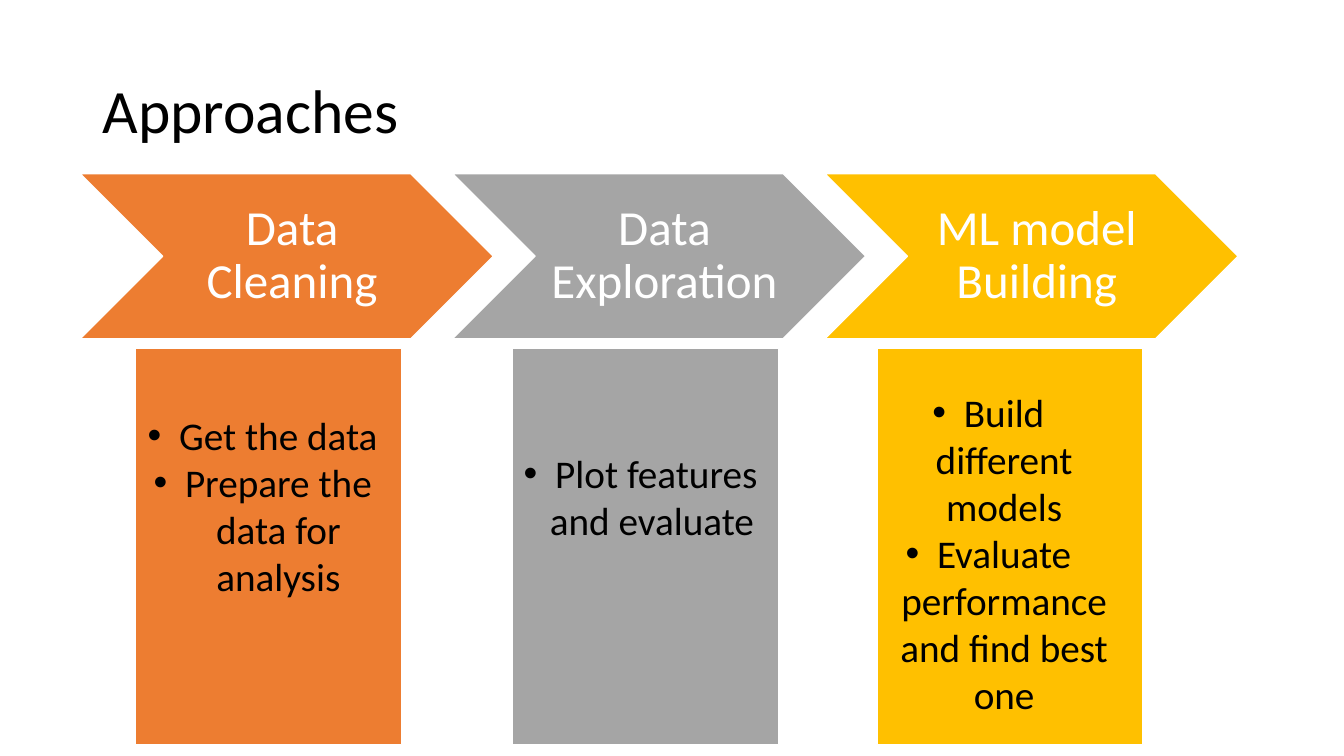
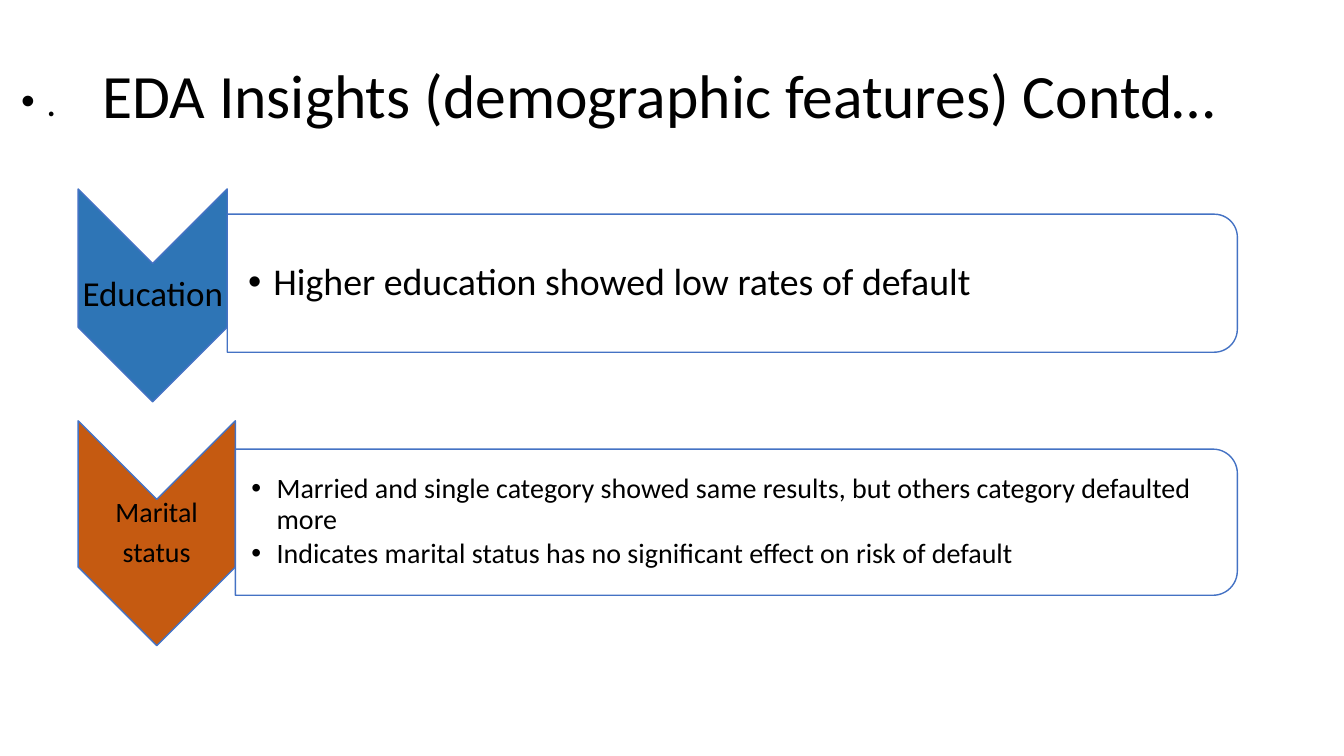
from lxml import etree
from pptx import Presentation
from pptx.dml.color import RGBColor
from pptx.enum.shapes import MSO_SHAPE
from pptx.enum.text import MSO_ANCHOR, MSO_AUTO_SIZE, PP_ALIGN
from pptx.oxml.ns import qn
from pptx.util import Pt

CHEVRON, RECTANGLE = MSO_SHAPE.CHEVRON, MSO_SHAPE.RECTANGLE
ROUNDED_TOP = MSO_SHAPE.ROUND_2_SAME_RECTANGLE
TOP, MIDDLE = MSO_ANCHOR.TOP, MSO_ANCHOR.MIDDLE
LEFT, CENTER = PP_ALIGN.LEFT, PP_ALIGN.CENTER

FONT = "Calibri"
BLACK = RGBColor(0x00, 0x00, 0x00)
WHITE = RGBColor(0xFF, 0xFF, 0xFF)
ORANGE = RGBColor(0xED, 0x7D, 0x31)
GREY = RGBColor(0xA5, 0xA5, 0xA5)
GOLD = RGBColor(0xFF, 0xC0, 0x00)
BLUE = RGBColor(0x2E, 0x75, 0xB6)
RUST = RGBColor(0xC5, 0x5A, 0x11)
OUTLINE = RGBColor(0x44, 0x72, 0xC4)

# Content: step, colour, card left, list left and top, list items
APPROACHES = [
    ("Data Cleaning", ORANGE, 96.5, 89.3, 290,
     ["Get the data", "Prepare the data for analysis"]),
    ("Data Exploration", GREY, 365.8, 359.3, 317.5,
     ["Plot features and evaluate "]),
    ("ML model Building", GOLD, 626.4, 607.7, 273.6,
     ["Build different models", "Evaluate performance and find best one"]),
]
# Content: label lines and size, colour, chevron top, width and height,
# panel top and height, panel inset, finding size, findings
INSIGHTS = [
    (["Education"], 25, BLUE, 135, 106.5, 152, 153, 98.6, 15, 27,
     ["Higher education showed low rates of default"]),
    (["Marital", "status"], 20, RUST, 300.6, 112.3, 160.6, 320.8, 104.4, 11.5, 20,
     ["Married and single category showed same results, "
      "but others category defaulted more",
      "Indicates marital status has no significant effect on risk of default"]),
]

# Shared geometry, in points
STEP_LEFT, STEP_TOP, STEP_PITCH, STEP_SIZE = 57.2, 124, 266, (295.2, 118)
CARD_TOP, CARD_SIZE = 249, (190.2, 283)
LIST_SIZE = (196.6, 165)
ROW_LEFT, ROW_RIGHT = 55.8, 883.8


def write(shape, lines, size, color=BLACK, align=CENTER, anchor=MIDDLE,
          margins=(7.2, 3.6, 7.2, 3.6), spacing=0.9, gap=0, indent=0):
    """Fill a shape with paragraphs; an indent also adds bullets."""
    frame = shape.text_frame
    frame.word_wrap = True
    frame.auto_size = MSO_AUTO_SIZE.NONE
    frame.vertical_anchor = anchor
    frame.margin_left, frame.margin_top, frame.margin_right, frame.margin_bottom = map(Pt, margins)
    for number, line in enumerate(lines):
        para = frame.add_paragraph() if number else frame.paragraphs[0]
        para.text = line
        para.alignment = align
        para.line_spacing = spacing
        if number:
            para.space_before = Pt(gap)
        para.font.name = FONT
        para.font.size = Pt(size)
        para.font.color.rgb = color
        if indent:
            properties = para._p.get_or_add_pPr()
            properties.set("marL", str(Pt(indent)))
            properties.set("indent", str(-Pt(indent)))
            bullet_font = etree.Element(qn("a:buFont"), typeface="Arial")
            bullet = etree.Element(qn("a:buChar"), char="•")
            # Bullets stand between the spacing and the run defaults
            defaults = properties.find(qn("a:defRPr"))
            defaults.addprevious(bullet_font)
            defaults.addprevious(bullet)


def add_text(slide, left, top, width, height, lines, size, **style):
    box = slide.shapes.add_textbox(Pt(left), Pt(top), Pt(width), Pt(height))
    write(box, lines, size, **style)


def add_block(slide, kind, left, top, width, height, fill, line, turned=False):
    """Add a filled shape; left to height describe it as seen, even when turned."""
    if turned:
        left, top = left + (width - height) / 2, top + (height - width) / 2
        width, height = height, width
    shape = slide.shapes.add_shape(kind, Pt(left), Pt(top), Pt(width), Pt(height))
    shape.rotation = 90 if turned else 0
    shape.shadow.inherit = False
    shape.fill.solid()
    shape.fill.fore_color.rgb = fill
    shape.line.color.rgb = line
    shape.line.width = Pt(1)
    return shape


def add_slide(deck, title, title_top):
    slide = deck.slides.add_slide(deck.slide_layouts[5])
    box = slide.shapes.title
    box.left, box.top, box.width, box.height = Pt(66), Pt(title_top), Pt(828), Pt(104.4)
    write(box, [title], 44, align=LEFT)
    return slide


def build_approaches(deck):
    slide = add_slide(deck, "Approaches", 28.8)
    for number, (step, color, card_left, list_left, list_top, items) in enumerate(APPROACHES):
        chevron = add_block(slide, CHEVRON, STEP_LEFT + number * STEP_PITCH, STEP_TOP,
                            *STEP_SIZE, color, WHITE)
        write(chevron, [step], 35, color=WHITE, margins=(10.8, 3.6, 3, 3.6))
        add_block(slide, RECTANGLE, card_left, CARD_TOP, *CARD_SIZE, color, WHITE)
        add_text(slide, list_left, list_top, *LIST_SIZE, items, 28,
                 anchor=TOP, spacing=1.0, indent=22.5)


def build_insights(deck):
    slide = add_slide(deck, "EDA Insights (demographic features) Contd…", 18)
    for (label, label_size, color, top, width, height,
         panel_top, panel_height, inset, size, findings) in INSIGHTS:
        # Downward chevron with its label
        marker = (ROW_LEFT, top, width, height)
        add_block(slide, CHEVRON, *marker, color, OUTLINE, turned=True)
        add_text(slide, *marker, label, label_size, margins=(1, 1, 1, 1), gap=7)
        # Panel rounded on its right side
        panel_left = ROW_LEFT + width
        panel = (panel_left, panel_top, ROW_RIGHT - panel_left, panel_height)
        add_block(slide, ROUNDED_TOP, *panel, WHITE, OUTLINE, turned=True)
        add_text(slide, *panel, findings, size, align=LEFT,
                 margins=(inset, 1, 5, 1), gap=3, indent=18)
    # Lone bullet beside the title
    add_text(slide, 8, 55.4, 31.7, 104.4, ["."], 28, align=LEFT, anchor=TOP, indent=18)


def main():
    deck = Presentation()
    deck.slide_width, deck.slide_height = Pt(960), Pt(540)
    build_approaches(deck)
    build_insights(deck)
    deck.save("out.pptx")


if __name__ == "__main__":
    main()
